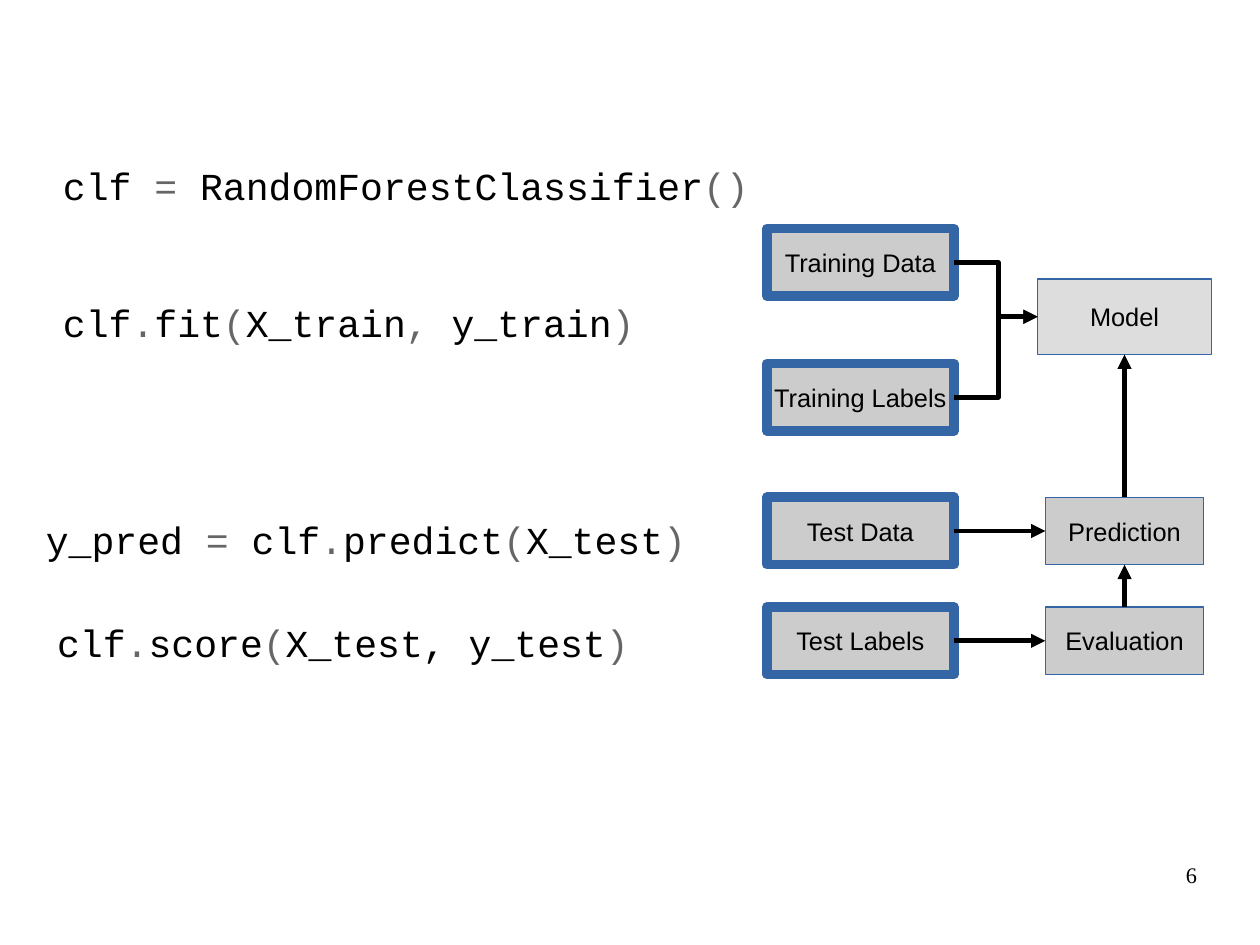
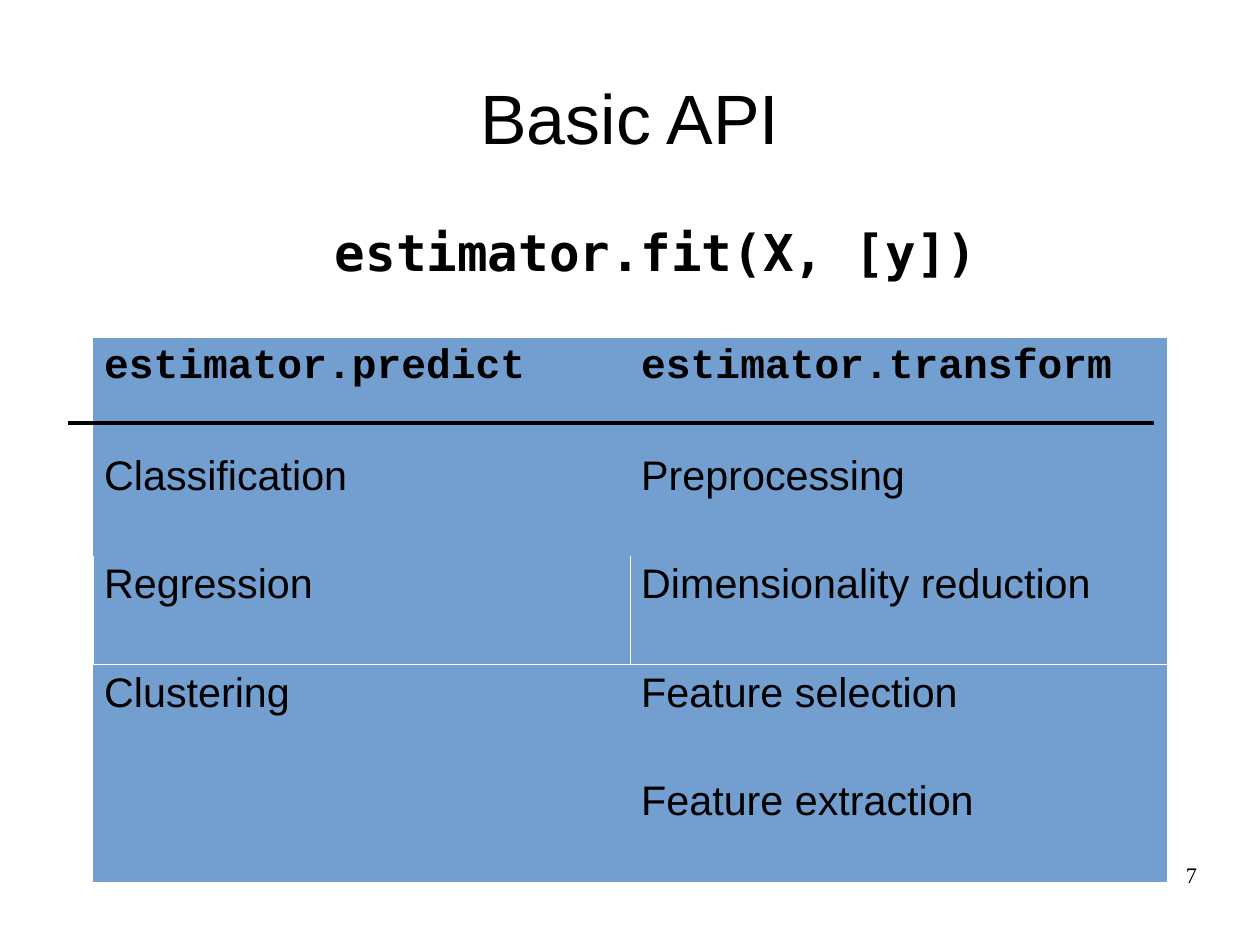
from dataclasses import dataclass
from itertools import groupby

from lxml import etree
from pptx import Presentation, util as u
from pptx.dml import color
from pptx.enum import shapes, text
from pptx.oxml import ns

Cm = u.Cm
COLORS = {
    "ink": "000000",
    "operator": "666666",
    "box": "CCCCCC",
    "model": "DDDDDD",
    "outline": "3465A4",
    "cell": "729FCF",
    "border": "FFFFFF",
}
ALIGN = {"l": text.PP_ALIGN.LEFT, "c": text.PP_ALIGN.CENTER, "r": text.PP_ALIGN.RIGHT}
NO_STYLE = "{2D5ABB26-0587-4C30-8999-92F81FD0307C}"
TOP, LEFT, BOTTOM, RIGHT = range(4)


@dataclass(frozen=True)
class CodeLine:
    left: float
    top: float
    code: str
    operators: str = "=.,()"


@dataclass(frozen=True)
class Box:
    label: str
    left: float
    top: float
    width: float
    height: float = 1.5
    fill: str = "box"
    line: float = 0


@dataclass(frozen=True)
class Arrow:
    start: str
    start_side: int
    end: str
    end_side: int
    bent: bool = False


def data_box(label: str, top: float) -> Box:
    return Box(label, 17.04, top, 4.16, line=6)


def step_box(label: str, top: float) -> Box:
    return Box(label, 23.23, top, 3.52)


CODE_LINES = [
    CodeLine(1.4, 3.6, "clf = RandomForestClassifier()"),
    CodeLine(1.4, 6.65, "clf.fit(X_train, y_train)"),
    CodeLine(1.02, 11.48, "y_pred = clf.predict(X_test)"),
    CodeLine(1.27, 13.77, "clf.score(X_test, y_test)", ".()"),
]
BOXES = [
    data_box("Training Data", 5.08),
    data_box("Training Labels", 8.08),
    data_box("Test Data", 11.05),
    data_box("Test Labels", 13.49),
    Box("Model", 23.06, 6.2, 3.86, 1.68, "model"),
    step_box("Prediction", 11.05),
    step_box("Evaluation", 13.49),
]
ARROWS = [
    Arrow("Training Data", RIGHT, "Model", LEFT, bent=True),
    Arrow("Training Labels", RIGHT, "Model", LEFT, bent=True),
    Arrow("Test Data", RIGHT, "Prediction", LEFT),
    Arrow("Test Labels", RIGHT, "Evaluation", LEFT),
    Arrow("Prediction", TOP, "Model", BOTTOM),
    Arrow("Evaluation", TOP, "Prediction", BOTTOM),
]
METHODS = [
    ("estimator.predict", "estimator.transform"),
    ("Classification", "Preprocessing"),
    ("Regression", "Dimensionality reduction"),
    ("Clustering", "Feature selection"),
    ("", "Feature extraction"),
]
BORDERED_ROW = 2


def rgb(name: str) -> color.RGBColor:
    return color.RGBColor.from_string(COLORS[name])


def write(p, content: str, *, size: float, font: str = "Arial", ink: str = "ink",
          bold: bool = False, align: str = "l") -> None:
    p.alignment = ALIGN[align]
    r = p.add_run()
    r.text = content
    r.font.size = u.Pt(size)
    r.font.name = font
    r.font.bold = bold
    r.font.color.rgb = rgb(ink)


def add_text_box(s, left: float, top: float, width: float, height: float,
                 anchor=text.MSO_ANCHOR.TOP):
    sp = s.shapes.add_textbox(Cm(left), Cm(top), Cm(width), Cm(height))
    tf = sp.text_frame
    tf.word_wrap = True
    tf.vertical_anchor = anchor
    tf.margin_left = tf.margin_right = tf.margin_top = tf.margin_bottom = 0
    return tf.paragraphs[0]


def add_slide(prs, number: int):
    s = prs.slides.add_slide(prs.slide_layouts[6])
    p = add_text_box(s, 20.07, 19.13, 6.53, 1.45)
    write(p, str(number), size=14, font="Times New Roman", align="r")
    return s


def add_code(s, line: CodeLine) -> None:
    p = add_text_box(s, line.left, line.top, 18, 1.2)
    for is_operator, chars in groupby(line.code, lambda c: c in line.operators):
        write(p, "".join(chars), size=24, font="Courier New",
              ink="operator" if is_operator else "ink")


def add_box(s, box: Box):
    sp = s.shapes.add_shape(shapes.MSO_SHAPE.RECTANGLE, Cm(box.left), Cm(box.top),
                            Cm(box.width), Cm(box.height))
    sp.shadow.inherit = False
    sp.fill.solid()
    sp.fill.fore_color.rgb = rgb(box.fill)
    sp.line.color.rgb = rgb("outline")
    sp.line.width = u.Pt(box.line)
    tf = sp.text_frame
    tf.word_wrap = False
    tf.vertical_anchor = text.MSO_ANCHOR.MIDDLE
    write(tf.paragraphs[0], box.label, size=16, align="c")
    return sp


def add_line(s, kind, width: float, ends=(0, 0, 0, 0)):
    cxn = s.shapes.add_connector(kind, *map(Cm, ends))
    cxn.line.color.rgb = rgb("ink")
    cxn.line.width = u.Pt(width)
    etree.SubElement(cxn._element.spPr, ns.qn("a:effectLst"))
    return cxn


def add_arrow(s, arrow: Arrow, placed: dict) -> None:
    kind = shapes.MSO_CONNECTOR.ELBOW if arrow.bent else shapes.MSO_CONNECTOR.STRAIGHT
    cxn = add_line(s, kind, 3)
    cxn.begin_connect(placed[arrow.start], arrow.start_side)
    cxn.end_connect(placed[arrow.end], arrow.end_side)
    ln = cxn.line._get_or_add_ln()
    etree.SubElement(ln, ns.qn("a:tailEnd"), type="triangle")
    if arrow.bent:
        guides = cxn._element.spPr.find(".//" + ns.qn("a:avLst"))
        etree.SubElement(guides, ns.qn("a:gd"), name="adj1", fmla="val 52800")


def add_cell_borders(cell) -> None:
    tc_pr = cell._tc.get_or_add_tcPr()
    for i, side in enumerate(("lnL", "lnR", "lnB")):
        ln = etree.Element(ns.qn("a:" + side), w="762")
        fill = etree.SubElement(ln, ns.qn("a:solidFill"))
        etree.SubElement(fill, ns.qn("a:srgbClr"), val=COLORS["border"])
        tc_pr.insert(i, ln)


def add_methods_table(s) -> None:
    frame = s.shapes.add_table(len(METHODS), 2, Cm(2.06), Cm(7.52), Cm(23.87), Cm(12.07))
    table = frame.table
    table.first_row = table.horz_banding = False
    table._tbl.tblPr.find(ns.qn("a:tableStyleId")).text = NO_STYLE
    for i, labels in enumerate(METHODS):
        header = i == 0
        for j, label in enumerate(labels):
            cell = table.cell(i, j)
            cell.fill.solid()
            cell.fill.fore_color.rgb = rgb("cell")
            if label:
                write(cell.text_frame.paragraphs[0], label, size=26, bold=header,
                      font="Courier New" if header else "Arial")
            if i == BORDERED_ROW:
                add_cell_borders(cell)


def build_workflow(prs) -> None:
    s = add_slide(prs, 6)
    for line in CODE_LINES:
        add_code(s, line)
    placed = {box.label: add_box(s, box) for box in BOXES}
    for arrow in ARROWS:
        add_arrow(s, arrow, placed)


def build_api(prs) -> None:
    s = add_slide(prs, 7)
    title = add_text_box(s, 1.4, 0.84, 25.2, 3.5, text.MSO_ANCHOR.MIDDLE)
    write(title, "Basic API", size=44, align="c")
    call = add_text_box(s, 2.59, 4.9, 24, 1.5)
    write(call, "estimator.fit(X, [y])", size=32, font="DejaVu Sans Mono",
          bold=True, align="c")
    add_methods_table(s)
    add_line(s, shapes.MSO_CONNECTOR.STRAIGHT, 2.89, (1.5, 9.4, 25.65, 9.4))


def main() -> None:
    prs = Presentation()
    prs.slide_width, prs.slide_height = Cm(28), Cm(21)
    build_workflow(prs)
    build_api(prs)
    prs.save("out.pptx")


if __name__ == "__main__":
    main()
